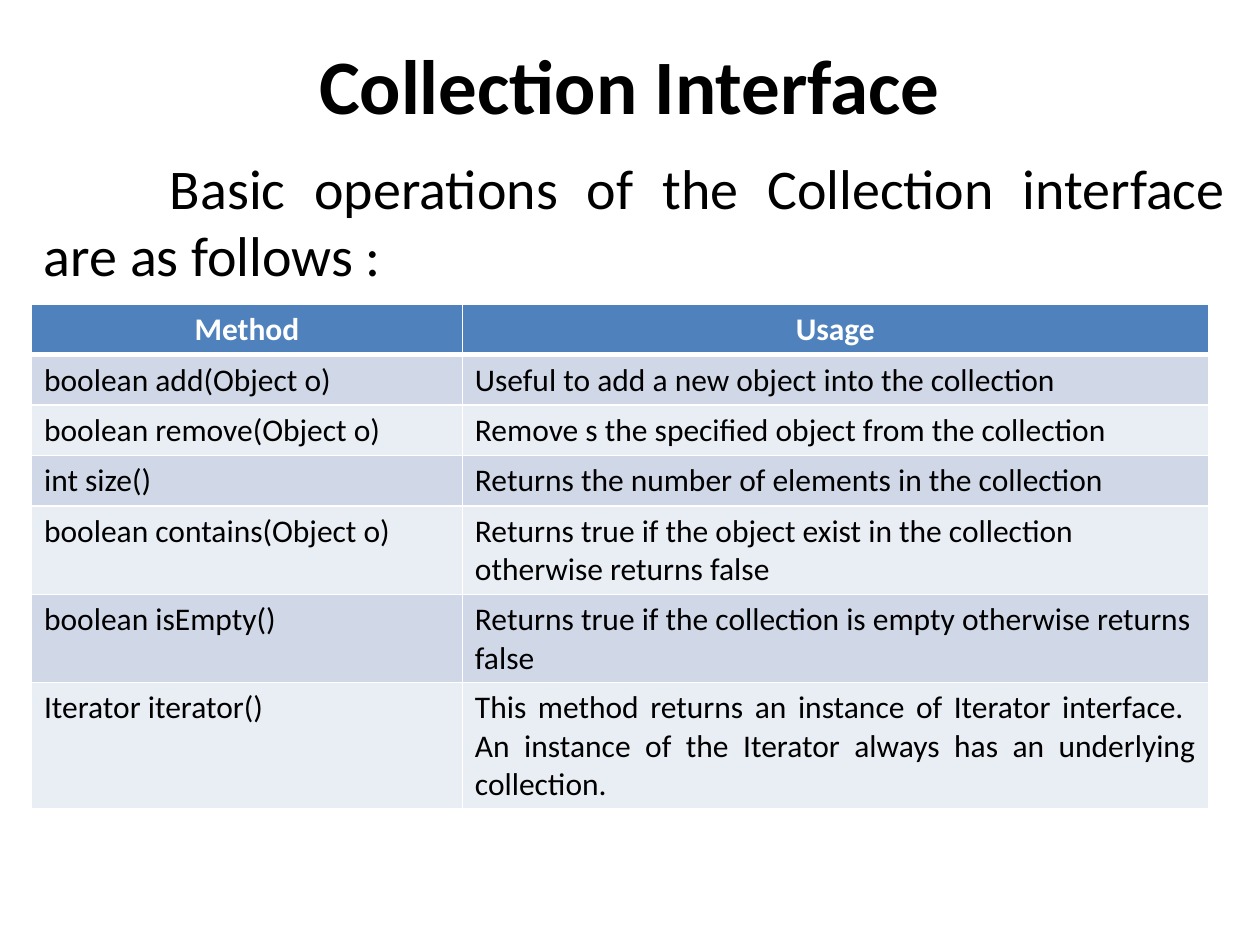
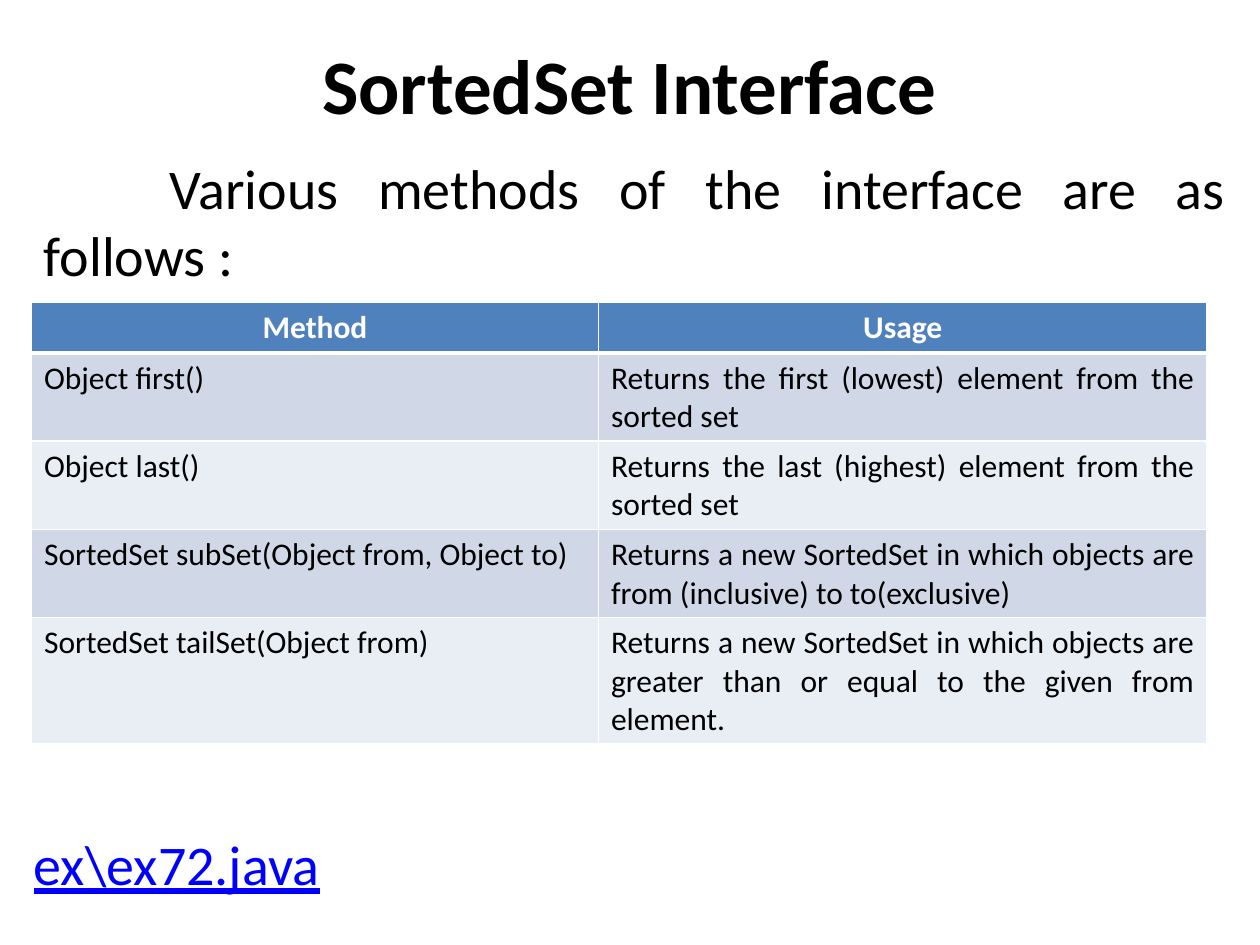
"""Build two slides that list the methods of collection interfaces."""
from lxml.etree import SubElement
from pptx import Presentation
from pptx.dml.color import RGBColor
from pptx.enum.text import MSO_ANCHOR, PP_ALIGN
from pptx.oxml.ns import qn
from pptx.util import Inches, Pt

WIDTH, HEIGHT = Inches(10), Inches(7.5)
FONT = "Calibri"
COLOURS = {
    "text": "000000",
    "header_text": "FFFFFF",
    "link": "0000FF",
    "header": "4F81BD",
    "odd_row": "D0D8E8",
    "even_row": "E9EDF4",
    "border": "FFFFFF",
}
FORMATS = {
    "title": {"size": Pt(44), "bold": True},
    "body": {"size": Pt(32)},
    "link": {"size": Pt(32), "underline": True},
    "header": {"size": Pt(18), "bold": True},
    "cell": {"size": Pt(18), "bold": False},
}
TEXT_COLOURS = {"header": "header_text", "link": "link"}
ROW_HEIGHT = Inches(0.35)
TABLE_LEFT = 0.025

COLLECTION_METHODS = [
    ("boolean add(Object o)", "Useful to add a new object into the collection"),
    ("boolean remove(Object o)", "Remove s the specified object from the collection"),
    ("int size()", "Returns the number of elements in the collection"),
    ("boolean contains(Object o)",
     "Returns true if the object exist in the collection otherwise returns false"),
    ("boolean isEmpty()",
     "Returns true if the collection is empty otherwise returns false"),
    ("Iterator iterator()",
     "This method returns an instance of Iterator interface.  "
     "An instance of the Iterator always has an underlying collection."),
]
SORTED_SET_METHODS = [
    ("Object first()", "Returns the first (lowest) element from the sorted set"),
    ("Object last()", "Returns the last (highest) element from the sorted set"),
    ("SortedSet subSet(Object from, Object to)",
     "Returns a new SortedSet in which objects are from (inclusive) to to(exclusive)"),
    ("SortedSet tailSet(Object from)",
     "Returns a new SortedSet in which objects are greater than or equal "
     "to the given from element."),
]


def colour(name):
    """Return the named colour."""
    return RGBColor.from_string(COLOURS[name])


def write(frame, text, kind, alignment):
    """Write one formatted paragraph into a text frame."""
    paragraph = frame.paragraphs[0]
    paragraph.alignment = alignment
    run = paragraph.add_run()
    run.text = text
    run.font.name = FONT
    run.font.color.rgb = colour(TEXT_COLOURS.get(kind, "text"))
    for attribute, value in FORMATS[kind].items():
        setattr(run.font, attribute, value)
    return paragraph


def add_text(slide, text, kind, box, alignment=PP_ALIGN.JUSTIFY, anchor=MSO_ANCHOR.TOP):
    """Add a text box placed by shares of the slide size."""
    left, top, width, height = box
    shape = slide.shapes.add_textbox(
        int(left * WIDTH), int(top * HEIGHT), int(width * WIDTH), int(height * HEIGHT))
    shape.text_frame.word_wrap = True
    shape.text_frame.vertical_anchor = anchor
    return write(shape.text_frame, text, kind, alignment)


def set_borders(cell, bottom):
    """Draw the four cell borders, with the given bottom width in points."""
    properties = cell._tc.get_or_add_tcPr()
    for side, points in {"L": 1, "R": 1, "T": 1, "B": bottom}.items():
        line = SubElement(properties, qn(f"a:ln{side}"), w=str(Pt(points)))
        fill = SubElement(line, qn("a:solidFill"))
        SubElement(fill, qn("a:srgbClr"), val=COLOURS["border"])


def fill_cell(cell, text, kind, fill, alignment):
    """Set the borders, fill and text of a table cell."""
    set_borders(cell, bottom=3 if kind == "header" else 1)
    cell.fill.solid()
    cell.fill.fore_color.rgb = colour(fill)
    write(cell.text_frame, text, kind, alignment)


def add_method_table(slide, methods, top, columns, justified):
    """Add a banded table, justifying the usage of the given row numbers."""
    widths = [int(share * WIDTH) for share in columns]
    rows = [("Method", "Usage"), *methods]
    table = slide.shapes.add_table(
        len(rows), len(widths), int(TABLE_LEFT * WIDTH), int(top * HEIGHT),
        sum(widths), ROW_HEIGHT * len(rows)).table
    for column, width in zip(table.columns, widths):
        column.width = width
    for row, texts in enumerate(rows):
        for column, text in enumerate(texts):
            cell = table.cell(row, column)
            if row == 0:
                fill_cell(cell, text, "header", "header", PP_ALIGN.CENTER)
                continue
            fill = "odd_row" if row % 2 else "even_row"
            justify = column == 1 and row in justified
            fill_cell(cell, text, "cell", fill,
                      PP_ALIGN.JUSTIFY if justify else PP_ALIGN.LEFT)


def add_interface_slide(presentation, title, introduction):
    """Add a slide with a centred title and an indented introduction."""
    slide = presentation.slides.add_slide(presentation.slide_layouts[6])
    add_text(slide, title, "title", (0, 0.022, 1, 0.133),
             PP_ALIGN.CENTER, MSO_ANCHOR.MIDDLE)
    paragraph = add_text(slide, introduction, "body", (0.025, 0.156, 0.958, 0.157))
    paragraph._p.get_or_add_pPr().set("indent", str(Inches(1)))
    return slide


def main():
    """Build and save the presentation."""
    presentation = Presentation()
    presentation.slide_width, presentation.slide_height = WIDTH, HEIGHT

    slide = add_interface_slide(
        presentation, "Collection Interface",
        "Basic operations of the Collection interface are as follows :")
    add_method_table(slide, COLLECTION_METHODS, 0.322, (0.342, 0.592), justified={6})

    slide = add_interface_slide(
        presentation, "SortedSet Interface",
        "Various methods of the interface are as follows :")
    add_method_table(slide, SORTED_SET_METHODS, 0.32, (0.45, 0.483),
                     justified={1, 2, 3, 4})
    add_text(slide, "ex\\ex72.java", "link", (0.017, 0.871, 0.958, 0.085))

    presentation.save("out.pptx")


if __name__ == "__main__":
    main()
